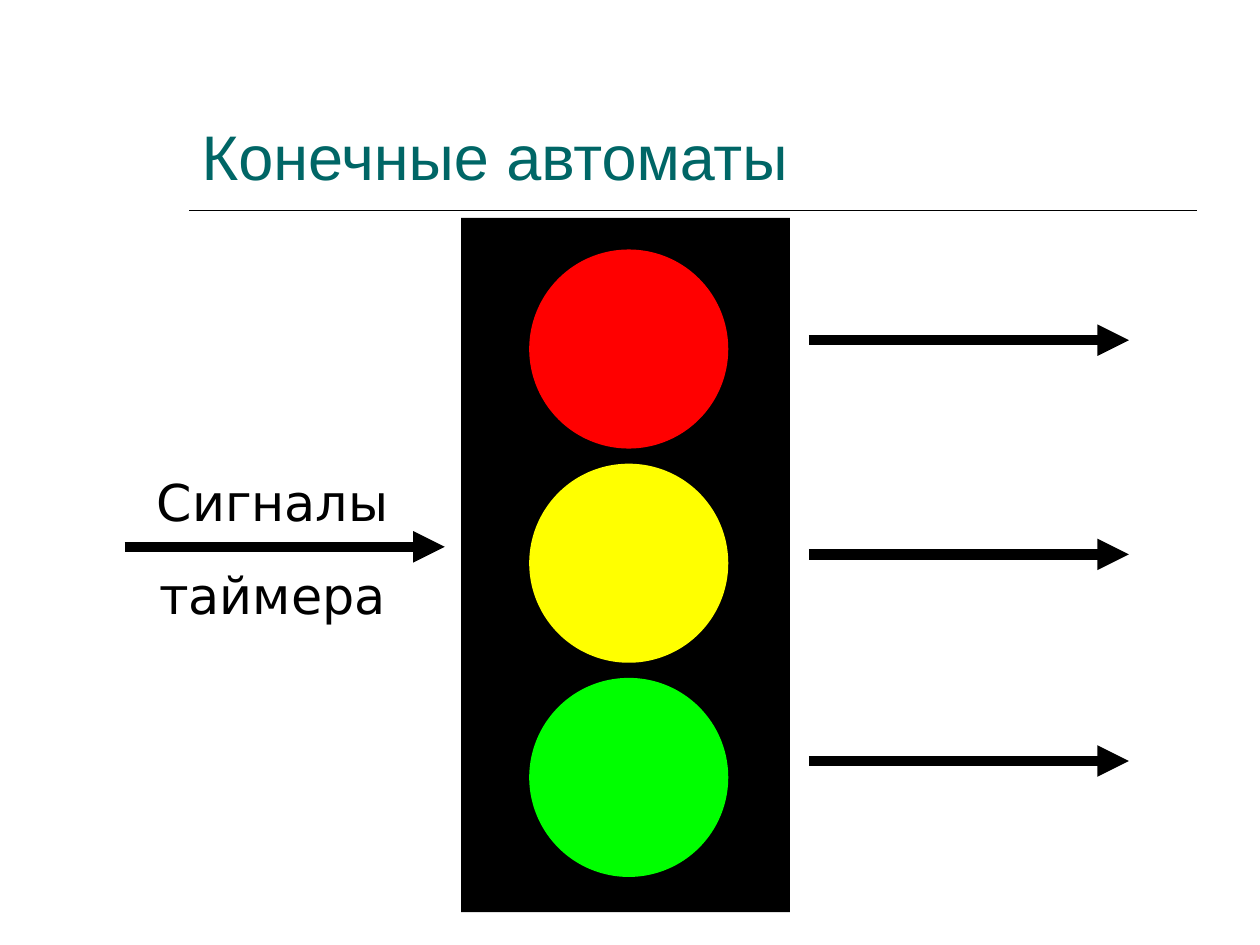
from dataclasses import dataclass

from lxml.etree import SubElement
from pptx import Presentation
from pptx.dml.color import RGBColor
from pptx.enum.shapes import MSO_CONNECTOR as Connector, MSO_SHAPE as Shape
from pptx.enum.text import MSO_ANCHOR as Anchor, MSO_AUTO_SIZE as AutoSize, PP_ALIGN as Align
from pptx.oxml.ns import qn
from pptx.util import Inches, Pt


@dataclass(frozen=True)
class Theme:
    black: str = "000000"
    teal: str = "006666"
    red: str = "FF0000"
    yellow: str = "FFFF00"
    green: str = "00FF00"
    title_font: str = "Arial"
    label_font: str = "DejaVu Sans"
    title_size: float = 36
    label_size: float = 29
    label_gap: float = 18.1
    rule_width: float = 1
    arrow_width: float = 6


class SlideBuilder:
    """Places styled elements on a grid of 100 columns by 75 rows."""

    columns, rows = 100, 75

    def __init__(self, presentation, theme):
        self.theme = theme
        self.column = presentation.slide_width / self.columns
        self.row = presentation.slide_height / self.rows
        self.slide = presentation.slides.add_slide(presentation.slide_layouts[5])

    def place(self, x, y):
        return round(x * self.column), round(y * self.row)

    def format_paragraph(self, paragraph, align, font, size, color):
        paragraph.alignment = align
        for run in paragraph.runs:
            run.font.name = font
            run.font.size = Pt(size)
            run.font.color.rgb = RGBColor.from_string(color)

    def title(self, text, x, y, width, height):
        shape = self.slide.shapes.title
        shape.left, shape.top = self.place(x, y)
        shape.width, shape.height = self.place(width, height)
        frame = shape.text_frame
        frame.text = text
        frame.auto_size = AutoSize.NONE
        frame.vertical_anchor = Anchor.BOTTOM
        self.format_paragraph(frame.paragraphs[0], Align.LEFT, self.theme.title_font,
                              self.theme.title_size, self.theme.teal)

    def label(self, text, x, y, width, height):
        shape = self.slide.shapes.add_textbox(*self.place(x, y), *self.place(width, height))
        frame = shape.text_frame
        frame.word_wrap = True
        frame.auto_size = AutoSize.SHAPE_TO_FIT_TEXT
        frame.text = text
        for paragraph in frame.paragraphs:
            paragraph.space_before = Pt(self.theme.label_gap)
            self.format_paragraph(paragraph, Align.CENTER, self.theme.label_font,
                                  self.theme.label_size, self.theme.black)

    def block(self, kind, x, y, width, height, color):
        shape = self.slide.shapes.add_shape(kind, *self.place(x, y), *self.place(width, height))
        shape.shadow.inherit = False
        shape.fill.solid()
        shape.fill.fore_color.rgb = RGBColor.from_string(color)
        shape.line.fill.background()

    def line(self, x, y, length, width, arrow=False):
        connector = self.slide.shapes.add_connector(
            Connector.STRAIGHT, *self.place(x, y), *self.place(x + length, y))
        connector.line.width = Pt(width)
        connector.line.color.rgb = RGBColor.from_string(self.theme.black)
        if arrow:
            SubElement(connector.line._get_or_add_ln(), qn("a:tailEnd"), type="triangle")
        SubElement(connector._element.spPr, qn("a:effectLst"))

    def arrow(self, x, y, length):
        self.line(x, y, length, self.theme.arrow_width, arrow=True)


presentation = Presentation()
presentation.slide_width, presentation.slide_height = Inches(10), Inches(7.5)
theme = Theme()
builder = SlideBuilder(presentation, theme)

# Heading and its rule
builder.title("Конечные автоматы", 15, 3.3, 80, 12.5)
builder.line(15, 16.7, 80, theme.rule_width)

# Traffic light: housing and evenly spaced lamps
builder.block(Shape.RECTANGLE, 36.6, 17.3, 26.1, 55.1, theme.black)
lamp_size, lamp_step = 15.8, 17
for index, color in enumerate((theme.red, theme.yellow, theme.green)):
    builder.block(Shape.OVAL, 42, 19.8 + index * lamp_step, lamp_size, lamp_size, color)

# Timer input and one output per lamp
arrow_length = 25.4
builder.arrow(9.9, 43.4, arrow_length)
for output_row in (27, 44, 60.4):
    builder.arrow(64.2, output_row, arrow_length)
builder.label("Сигналы\nтаймера", 9.3, 36.9, 24.7, 13.2)

presentation.save("out.pptx")
